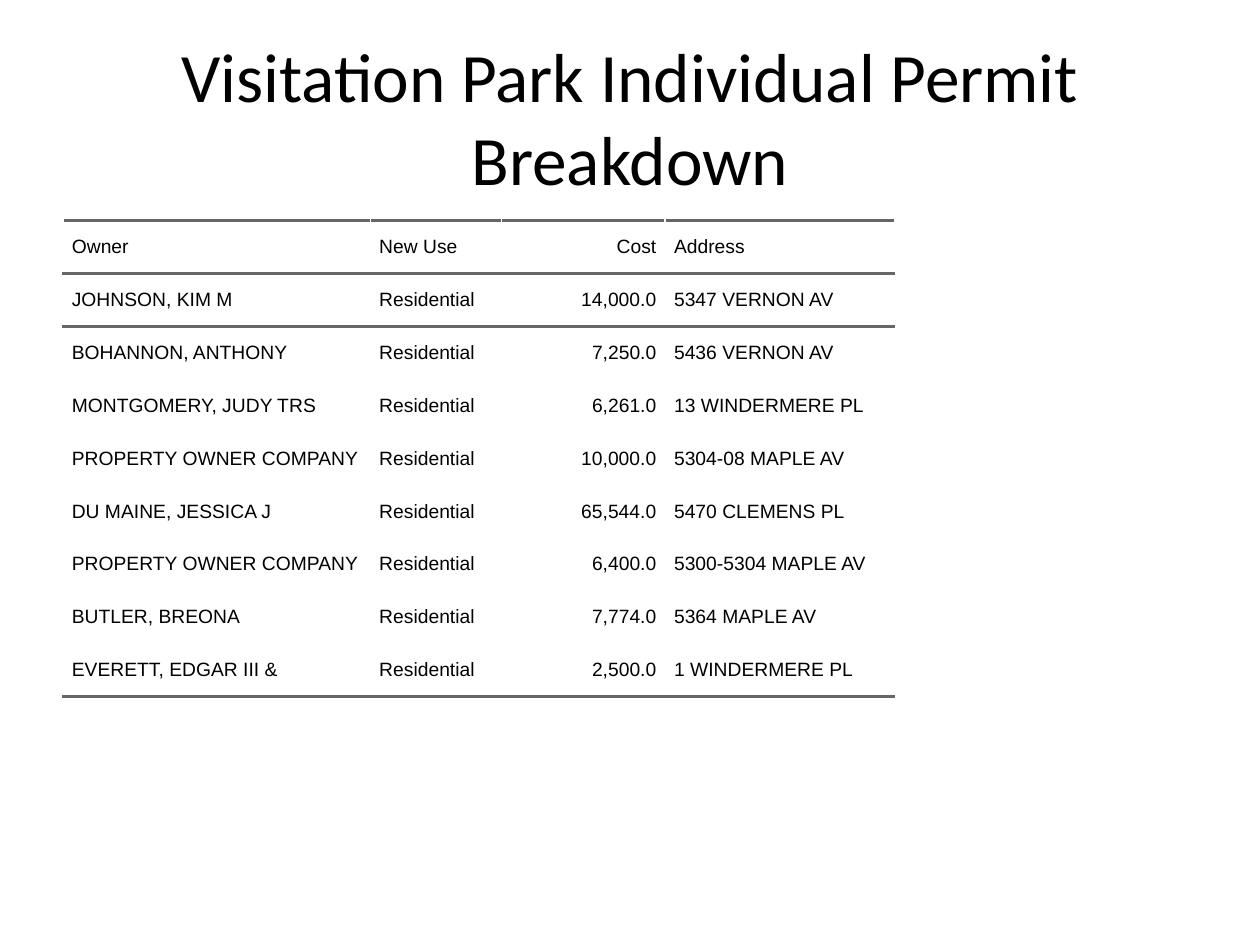
from lxml import etree
from pptx import Presentation
from pptx.dml.color import RGBColor
from pptx.enum.text import MSO_ANCHOR, PP_ALIGN
from pptx.oxml.ns import qn
from pptx.util import Inches, Pt

MIDDLE = MSO_ANCHOR.MIDDLE
LEFT, CENTER, RIGHT = PP_ALIGN.LEFT, PP_ALIGN.CENTER, PP_ALIGN.RIGHT

COLORS = {"text": "000000", "rule": "666666"}
TITLE = "Visitation Park Individual Permit Breakdown"

HEADER = ("Owner", "New Use", "Cost", "Address")
COL_WIDTHS = (2.44, 1.04, 1.3, 1.82)
COL_ALIGNS = (LEFT, LEFT, RIGHT, LEFT)
ROW_HEIGHT = 0.42
USE = "Residential"
PERMITS = [
    ("JOHNSON, KIM M", "14,000.0", "5347 VERNON AV"),
    ("BOHANNON, ANTHONY", "7,250.0", "5436 VERNON AV"),
    ("MONTGOMERY, JUDY TRS", "6,261.0", "13 WINDERMERE PL"),
    ("PROPERTY OWNER COMPANY", "10,000.0", "5304-08 MAPLE AV"),
    ("DU MAINE, JESSICA J", "65,544.0", "5470 CLEMENS PL"),
    ("PROPERTY OWNER COMPANY", "6,400.0", "5300-5304 MAPLE AV"),
    ("BUTLER, BREONA", "7,774.0", "5364 MAPLE AV"),
    ("EVERETT, EDGAR III &", "2,500.0", "1 WINDERMERE PL"),
]


def add_run(p, text, font, size):
    r = p.add_run()
    r.text = text
    r.font.name = font
    r.font.size = Pt(size)
    r.font.color.rgb = RGBColor.from_string(COLORS["text"])


def add_title(slide):
    sp = slide.shapes.add_textbox(Inches(0.5), Inches(0.3), Inches(9), Inches(1.25))
    tf = sp.text_frame
    tf.word_wrap = True
    tf.vertical_anchor = MIDDLE
    p = tf.paragraphs[0]
    p.alignment = CENTER
    add_run(p, TITLE, "Calibri", 39.6)


def add_border(cell, side):
    tc_pr = cell._tc.get_or_add_tcPr()
    ln = etree.SubElement(tc_pr, qn(f"a:ln{side}"), w=str(Pt(2)))
    fill = etree.SubElement(ln, qn("a:solidFill"))
    etree.SubElement(fill, qn("a:srgbClr"), val=COLORS["rule"])


def fill_cell(cell, text, align, sides):
    for side in sides:
        add_border(cell, side)
    cell.fill.background()
    cell.vertical_anchor = MIDDLE
    cell.margin_left = cell.margin_right = cell.margin_top = cell.margin_bottom = 0

    p = cell.text_frame.paragraphs[0]
    p.alignment = align
    p.space_before = p.space_after = Pt(5)
    p_pr = p._p.get_or_add_pPr()
    for margin in ("marL", "marR"):
        p_pr.set(margin, str(Inches(0.07)))
    add_run(p, text, "Arial", 11)


def add_permit_table(slide):
    rows = [HEADER] + [(owner, USE, cost, address) for owner, cost, address in PERMITS]
    # Rules above and below the header, and below the last row
    sides = {0: "TB", 1: "T", len(rows) - 1: "B"}
    table = slide.shapes.add_table(
        len(rows), len(HEADER), Inches(0.5), Inches(1.75),
        Inches(sum(COL_WIDTHS)), Inches(ROW_HEIGHT * len(rows))).table
    table.first_row = False
    table.horz_banding = False

    for column, width in zip(table.columns, COL_WIDTHS):
        column.width = Inches(width)
    for i, row in enumerate(rows):
        table.rows[i].height = Inches(ROW_HEIGHT)
        for j, (text, align) in enumerate(zip(row, COL_ALIGNS)):
            fill_cell(table.cell(i, j), text, align, sides.get(i, ""))


def main():
    prs = Presentation()
    prs.slide_width, prs.slide_height = Inches(10), Inches(7.5)
    slide = prs.slides.add_slide(prs.slide_layouts[6])
    add_title(slide)
    add_permit_table(slide)
    prs.save("out.pptx")


if __name__ == "__main__":
    main()
